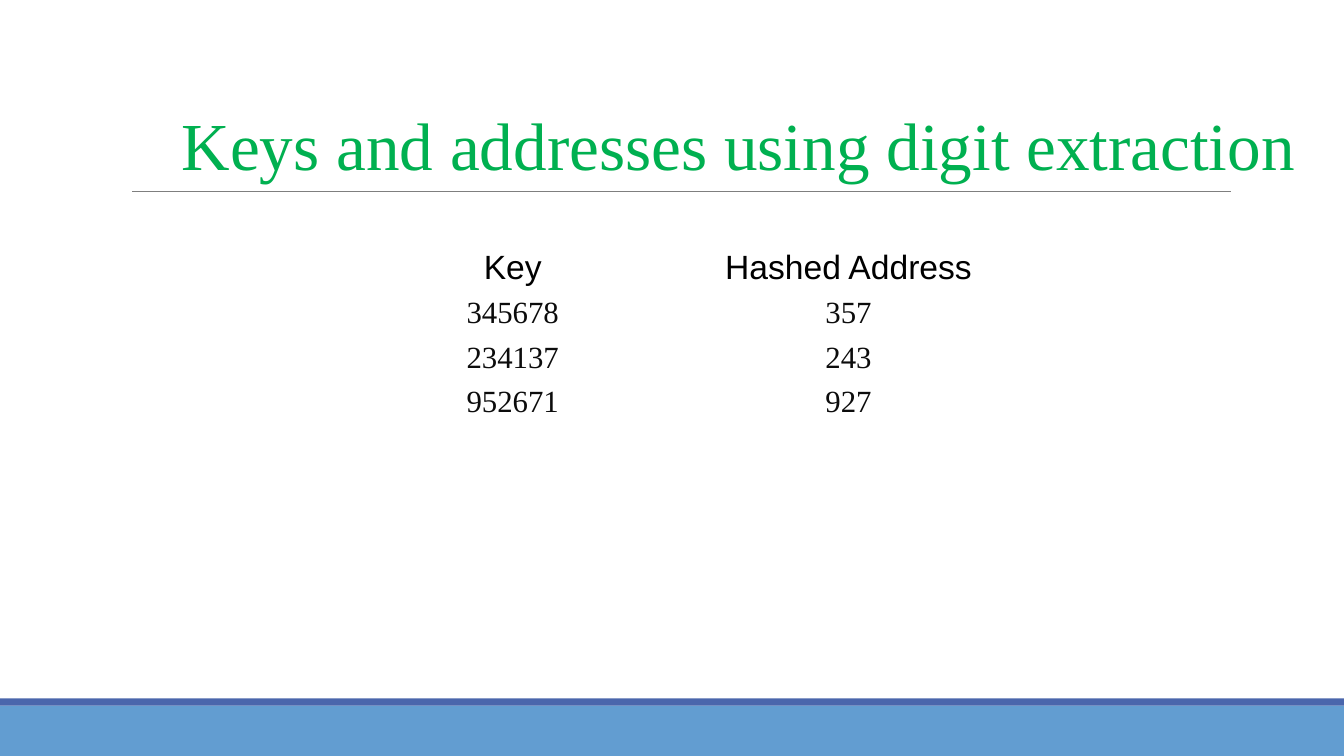
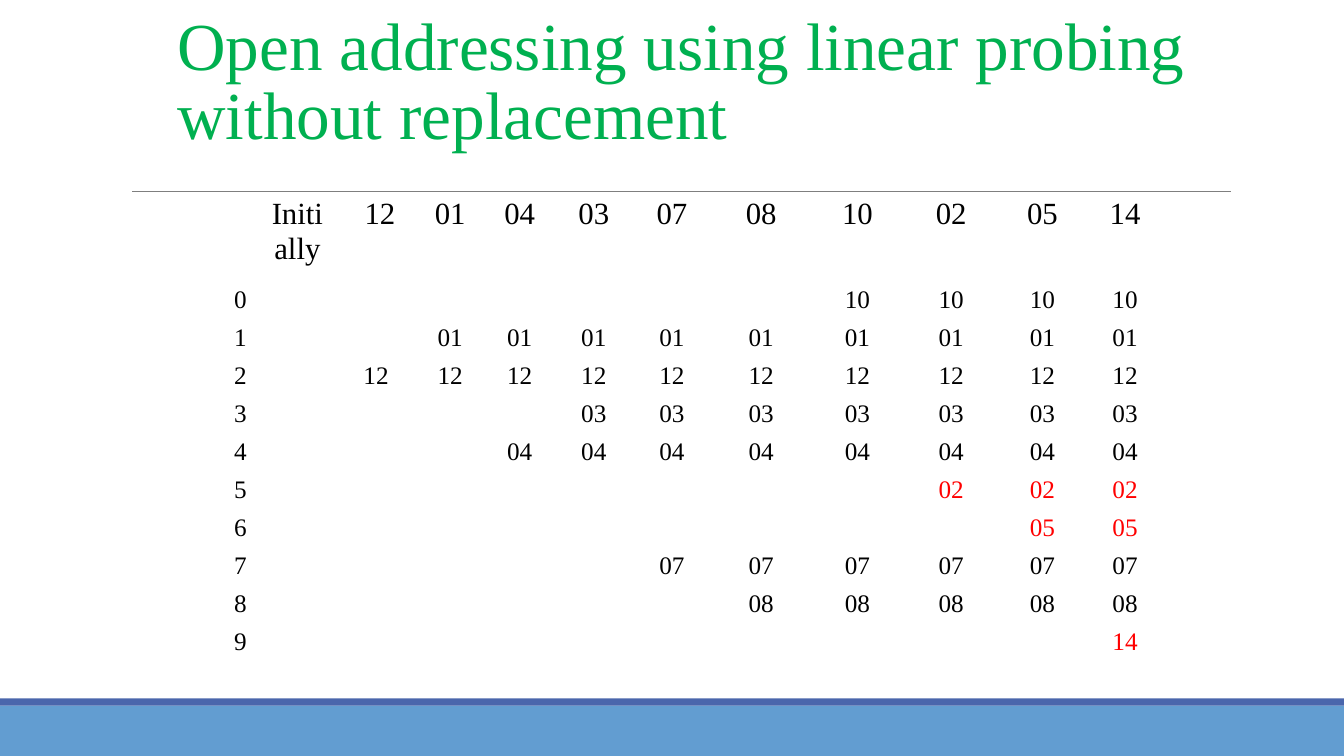
from pptx import Presentation
from pptx.dml.color import RGBColor
from pptx.enum.shapes import MSO_CONNECTOR, MSO_SHAPE
from pptx.enum.text import MSO_ANCHOR, MSO_AUTO_SIZE, PP_ALIGN
from pptx.oxml.ns import qn
from pptx.util import Emu, Pt
from lxml import etree

EMU_PER_PX = 9144
SLIDE_WIDTH, SLIDE_HEIGHT = 1333, 750
TITLE_ONLY_LAYOUT = 5
NO_GRID_STYLE = "{2D5ABB26-0587-4C30-8999-92F81FD0307C}"

SERIF, SANS = "Times New Roman", "Arial"
GREEN = RGBColor(0x00, 0xB0, 0x50)
LIGHT_BLUE = RGBColor(0x62, 0x9D, 0xD1)
DARK_BLUE = RGBColor(0x4A, 0x66, 0xAC)
GRAY = RGBColor(0x7F, 0x7F, 0x7F)
BLACK = RGBColor(0x00, 0x00, 0x00)
NEAR_BLACK = RGBColor(0x0C, 0x0C, 0x0C)
RED = RGBColor(0xFF, 0x00, 0x00)

HASHED_ADDRESSES = [("345678", "357"), ("234137", "243"), ("952671", "927")]
INSERTED_KEYS = [12, 1, 4, 3, 7, 8, 10, 2, 5, 14]
SLOT_COUNT = 10
PROBING_COLUMNS = [35, 78, 78, 69, 69, 78, 77, 100, 91, 95, 86, 78]


def px(length):
    return Emu(length * EMU_PER_PX)


def add_run(paragraph, text, size, color, font=SERIF):
    run = paragraph.add_run()
    run.text = text
    run.font.size = Pt(size)
    run.font.name = font
    run.font.color.rgb = color


def add_band(slide, top, height, color):
    band = slide.shapes.add_shape(
        MSO_SHAPE.RECTANGLE, 0, px(top), px(SLIDE_WIDTH), px(height))
    band.shadow.inherit = False
    band.fill.solid()
    band.fill.fore_color.rgb = color
    band.line.fill.background()
    return band


def add_title_rule(slide):
    rule = slide.shapes.add_connector(
        MSO_CONNECTOR.STRAIGHT, px(131), px(190), px(1221), px(190))
    rule.line.color.rgb = GRAY
    rule.line.width = Pt(0.75)
    etree.SubElement(rule._element.spPr, qn("a:effectLst"))
    return rule


def decorate_master(presentation, slide):
    decorations = [
        add_band(slide, 700, 50, LIGHT_BLUE),
        add_band(slide, 693, 7, DARK_BLUE),
        add_title_rule(slide),
    ]
    for shape_id, shape in enumerate(decorations, start=101):
        shape._element.xpath(".//p:cNvPr")[0].set("id", str(shape_id))
        presentation.slide_master.shapes._spTree.append(shape._element)


def set_title(slide, text, left, top, width, height):
    title = slide.shapes.title
    title.left, title.top = px(left), px(top)
    title.width, title.height = px(width), px(height)
    frame = title.text_frame
    frame.word_wrap = True
    frame.auto_size = MSO_AUTO_SIZE.NONE
    frame.vertical_anchor = MSO_ANCHOR.BOTTOM
    paragraph = frame.paragraphs[0]
    paragraph.alignment = PP_ALIGN.LEFT
    paragraph.line_spacing = 0.85
    add_run(paragraph, text, 48, GREEN)


def add_plain_table(slide, left, top, columns, rows):
    graphic_frame = slide.shapes.add_table(
        len(rows), len(columns), px(left), px(top), px(sum(columns)), px(sum(rows)))
    table = graphic_frame.table
    table.first_row = table.horz_banding = False
    graphic_frame._element.xpath(".//a:tableStyleId")[0].text = NO_GRID_STYLE
    for column, width in zip(table.columns, columns):
        column.width = px(width)
    for row, height in zip(table.rows, rows):
        row.height = px(height)
    for cell in table.iter_cells():
        cell.fill.background()
        cell.text_frame.paragraphs[0]._p.get_or_add_endParaRPr().set("sz", "1200")
    return table


def fill_cell(table, row, column, text, size, color, font=SERIF):
    paragraph = table.cell(row, column).text_frame.paragraphs[0]
    paragraph.alignment = PP_ALIGN.CENTER
    add_run(paragraph, text, size, color, font)


def add_address_table(slide):
    table = add_plain_table(slide, 342, 242, [333] * 2, [41] * 4)
    for column, heading in enumerate(("Key", "Hashed Address")):
        fill_cell(table, 0, column, heading, 24, BLACK, SANS)
    for row, values in enumerate(HASHED_ADDRESSES, start=1):
        for column, value in enumerate(values):
            fill_cell(table, row, column, value, 22, NEAR_BLACK)


def add_probing_table(slide):
    table = add_plain_table(slide, 221, 191, PROBING_COLUMNS, [88] + [29] * SLOT_COUNT)
    fill_cell(table, 0, 1, "Initially", 22, BLACK)
    for slot in range(SLOT_COUNT):
        fill_cell(table, slot + 1, 0, str(slot), 18, BLACK)
    slots = {}
    for column, key in enumerate(INSERTED_KEYS, start=2):
        heading = f" {key}" if column == 2 else f"{key:02}"
        fill_cell(table, 0, column, heading, 22, BLACK)
        free_slot = key % SLOT_COUNT
        while free_slot in slots:
            free_slot = (free_slot + 1) % SLOT_COUNT
        slots[free_slot] = key
        for slot, stored_key in slots.items():
            color = BLACK if stored_key % SLOT_COUNT == slot else RED
            fill_cell(table, slot + 1, column, f"{stored_key:02}", 18, color)


def main():
    presentation = Presentation()
    presentation.slide_width = px(SLIDE_WIDTH)
    presentation.slide_height = px(SLIDE_HEIGHT)
    layout = presentation.slide_layouts[TITLE_ONLY_LAYOUT]

    extraction_slide = presentation.slides.add_slide(layout)
    decorate_master(presentation, extraction_slide)
    set_title(extraction_slide, "Keys and addresses using digit extraction",
              170, 33, 1126, 155)
    add_address_table(extraction_slide)

    probing_slide = presentation.slides.add_slide(layout)
    set_title(probing_slide, "Open addressing using linear probing without replacement",
              166, 65, 1170, 92)
    add_probing_table(probing_slide)

    presentation.save("out.pptx")


if __name__ == "__main__":
    main()
